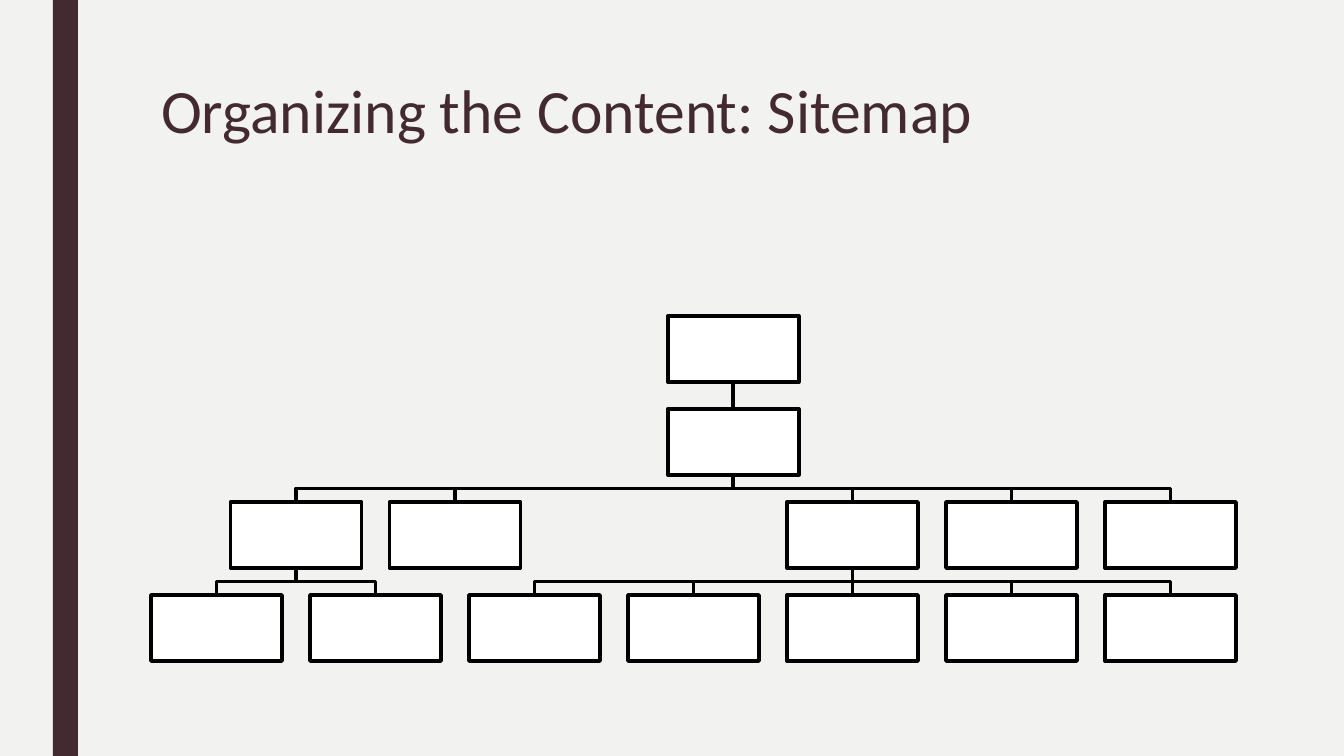
from dataclasses import dataclass
from lxml import etree
from pptx import Presentation
from pptx.dml.color import RGBColor as RGB
from pptx.enum.shapes import MSO_CONNECTOR as LINK, MSO_SHAPE as SHAPE
from pptx.enum.text import MSO_ANCHOR as ANCHOR, MSO_AUTO_SIZE as FIT, PP_ALIGN as ALIGN
from pptx.oxml.ns import qn
from pptx.util import Pt

# Content: each node is (column, row, parent index)
TITLE = "Organizing the Content: Sitemap"
NODES = [
    (3.25, 0, None),
    (3.25, 1, 0),
    (0.5, 2, 1), (1.5, 2, 1), (4, 2, 1), (5, 2, 1), (6, 2, 1),
    (0, 3, 2), (1, 3, 2),
    (2, 3, 4), (3, 3, 4), (4, 3, 4), (5, 3, 4), (6, 3, 4),
]


@dataclass(frozen=True)
class Theme:
    back: RGB = RGB.from_string("F2F2F0")
    dark: RGB = RGB.from_string("432A30")
    box: RGB = RGB.from_string("FFFFFF")
    line: RGB = RGB.from_string("000000")
    face: str = "Calibri"
    title: Pt = Pt(44)
    stroke: Pt = Pt(2.75)


LOOK = Theme()

# Layout in px
WIDE, HIGH = 1344, 756
SCALE = 12192000 / WIDE
BAR = (53, 0, 25, HIGH)
HEAD = (151, 76, 1058, 163)
LEFT, TOP = 151, 316
STEP_X, STEP_Y = 159, 93
BOX_W, BOX_H = 131, 66


def emu(*vals):
    return [round(v * SCALE) for v in vals]


def style(item, **vals):
    for key, val in vals.items():
        setattr(item, key, val)


def corner(node):
    col, row, _ = node
    return LEFT + col * STEP_X, TOP + row * STEP_Y


def stroke(item):
    item.line.color.rgb = LOOK.line
    item.line.width = LOOK.stroke


def block(shapes, area, fill):
    item = shapes.add_shape(SHAPE.RECTANGLE, *emu(*area))
    item.shadow.inherit = False
    item.fill.solid()
    item.fill.fore_color.rgb = fill
    item.line.fill.background()
    return item


def join(shapes, parent, child):
    (x1, y1), (x2, y2) = corner(parent), corner(child)
    x1, x2, y1 = x1 + BOX_W / 2, x2 + BOX_W / 2, y1 + BOX_H
    if x1 == x2:
        item = shapes.add_connector(LINK.STRAIGHT, *emu(x1, y1, x2, y2))
        etree.SubElement(item._element.spPr, qn("a:effectLst"))
    else:
        mid = (y1 + y2) / 2
        path = shapes.build_freeform(*emu(x1, y1))
        bends = [(x1, mid), (x2, mid), (x2, y2)]
        path.add_line_segments([emu(*p) for p in bends], close=False)
        item = path.convert_to_shape()
        item.fill.background()
        item.shadow.inherit = False
    stroke(item)


def main():
    # Slide, background and side bar
    deck = Presentation()
    deck.slide_width, deck.slide_height = emu(WIDE, HIGH)
    slide = deck.slides.add_slide(deck.slide_layouts[5])
    slide.background.fill.solid()
    slide.background.fill.fore_color.rgb = LOOK.back
    shapes = slide.shapes
    block(shapes, BAR, LOOK.dark)

    # Title
    head = shapes.title
    style(head, **dict(zip(("left", "top", "width", "height"), emu(*HEAD))))
    frame = head.text_frame
    style(frame, text=TITLE, word_wrap=True, auto_size=FIT.NONE,
          vertical_anchor=ANCHOR.TOP)
    para = frame.paragraphs[0]
    style(para, alignment=ALIGN.LEFT, line_spacing=0.89)
    style(para.font, name=LOOK.face, size=LOOK.title)
    para.font.color.rgb = LOOK.dark

    # Links first, so that the boxes cover their ends
    for node in NODES:
        if node[2] is not None:
            join(shapes, NODES[node[2]], node)

    # Boxes
    for node in NODES:
        stroke(block(shapes, (*corner(node), BOX_W, BOX_H), LOOK.box))

    deck.save("out.pptx")


if __name__ == "__main__":
    main()
